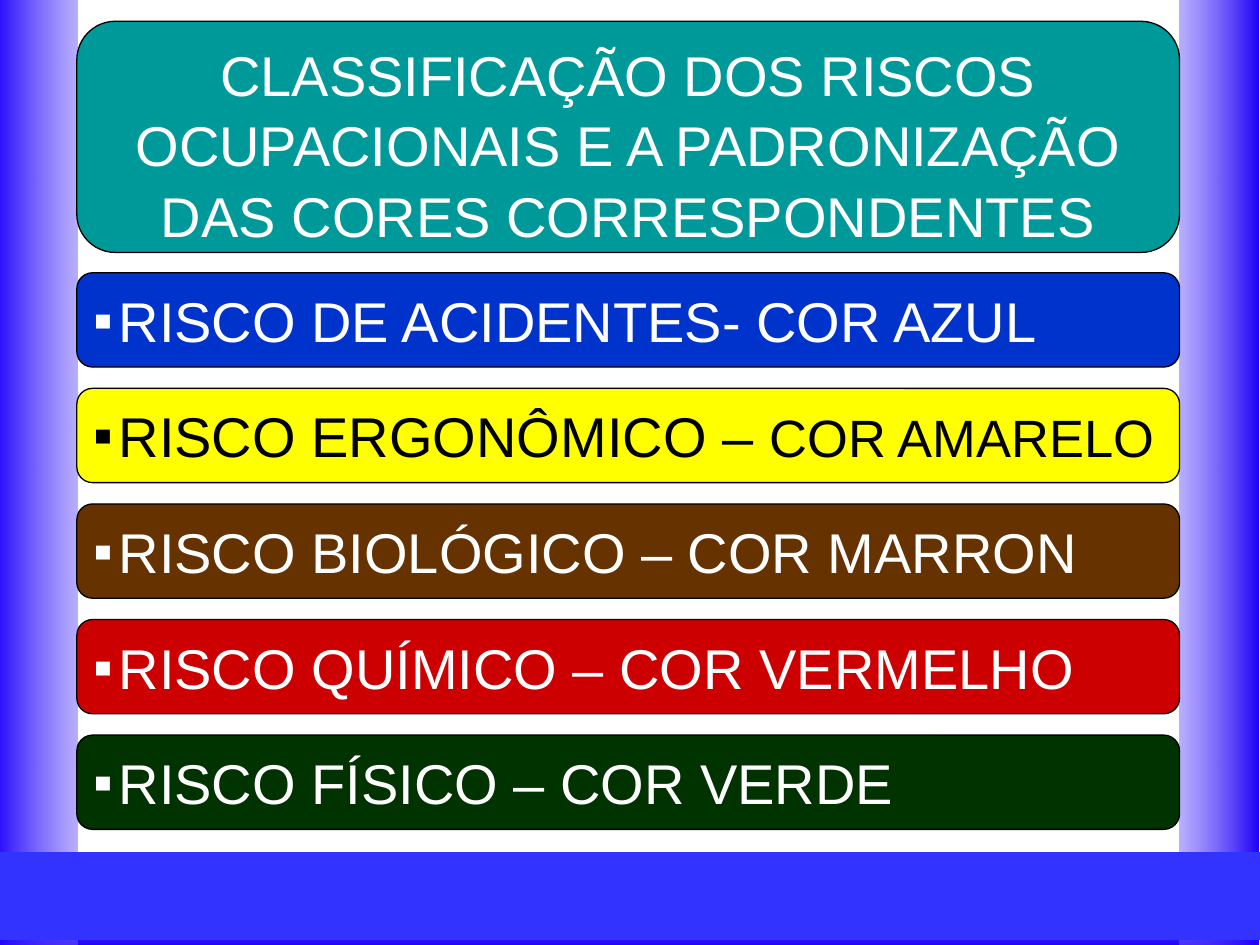
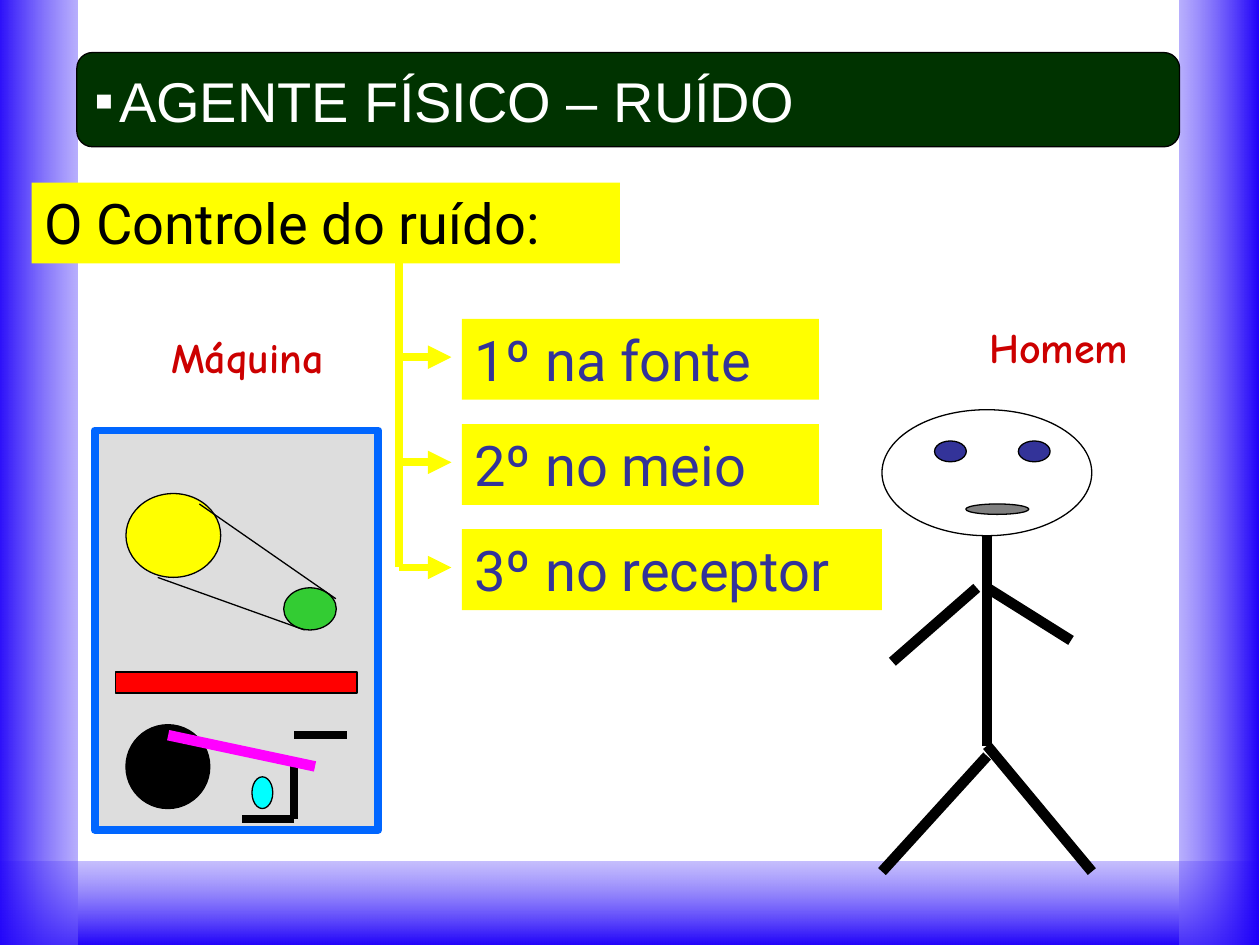
from lxml.etree import SubElement
from pptx import Presentation
from pptx.dml.color import RGBColor
from pptx.enum.shapes import MSO_CONNECTOR, MSO_SHAPE
from pptx.enum.text import MSO_ANCHOR, MSO_AUTO_SIZE, PP_ALIGN
from pptx.oxml.ns import qn
from pptx.util import Cm, Pt

BLACK = RGBColor(0x00, 0x00, 0x00)
WHITE = RGBColor(0xFF, 0xFF, 0xFF)
YELLOW = RGBColor(0xFF, 0xFF, 0x00)
TEAL = RGBColor(0x00, 0x99, 0x99)
BLUE = RGBColor(0x00, 0x33, 0xCC)
BROWN = RGBColor(0x66, 0x33, 0x00)
CRIMSON = RGBColor(0xCC, 0x00, 0x00)
DARK_GREEN = RGBColor(0x00, 0x33, 0x00)
INDIGO = RGBColor(0x33, 0x33, 0x99)
FOOTER_BLUE = RGBColor(0x33, 0x33, 0xFF)
EDGE_BLUE = RGBColor(0x1E, 0x00, 0xFA)
SIDE_LILAC = RGBColor(0x70, 0x5D, 0xFC)
BASE_LILAC = RGBColor(0x8C, 0x7D, 0xFC)
FRAME_BLUE = RGBColor(0x00, 0x66, 0xFF)
LIGHT_GRAY = RGBColor(0xDD, 0xDD, 0xDD)
GRAY = RGBColor(0x80, 0x80, 0x80)
GREEN = RGBColor(0x33, 0xCC, 0x33)
RED = RGBColor(0xFF, 0x00, 0x00)
CYAN = RGBColor(0x00, 0xFF, 0xFF)
MAGENTA = RGBColor(0xFF, 0x00, 0xFF)

RECT, OVAL, ROUNDED = MSO_SHAPE.RECTANGLE, MSO_SHAPE.OVAL, MSO_SHAPE.ROUNDED_RECTANGLE
BAR_LEFT, BAR_WIDTH, BAR_HEIGHT = 1.55, 22.23, 1.9


def add_figure(s, kind, box, fill, line=BLACK, weight=0.75):
    sp = s.shapes.add_shape(kind, *map(Cm, box))
    sp.shadow.inherit = False
    sp.fill.solid()
    sp.fill.fore_color.rgb = fill
    if line is None:
        sp.line.fill.background()
    else:
        sp.line.color.rgb = line
        sp.line.width = Pt(weight)
    return sp


def add_line(s, start, end, color=BLACK, weight=0.75, arrow=False):
    ln = s.shapes.add_connector(MSO_CONNECTOR.STRAIGHT, *map(Cm, start + end))
    ln.line.color.rgb = color
    ln.line.width = Pt(weight)
    if arrow:
        SubElement(ln.line._get_or_add_ln(), qn("a:tailEnd"), type="triangle")
    SubElement(ln._element.spPr, qn("a:effectLst"))


def format_runs(p, font, size, color, bold=False):
    for r in p.runs:
        r.font.name = font
        r.font.size = Pt(size)
        r.font.color.rgb = color
        r.font.bold = bold


def add_bullet(p, color):
    pPr = p._p.get_or_add_pPr()
    pPr.set("marL", str(Cm(0.5)))
    pPr.set("indent", str(-Cm(0.5)))
    SubElement(SubElement(pPr, qn("a:buClr")), qn("a:srgbClr"), val=str(color))
    SubElement(pPr, qn("a:buFont"), typeface="Arial")
    SubElement(pPr, qn("a:buChar"), char="▪")


def add_risk_bar(s, top, text, fill, color, ending=""):
    sp = add_figure(s, ROUNDED, (BAR_LEFT, top, BAR_WIDTH, BAR_HEIGHT), fill)
    tf = sp.text_frame
    tf.word_wrap = True
    tf.vertical_anchor = MSO_ANCHOR.MIDDLE
    p = tf.paragraphs[0]
    p.text = text
    p.alignment = PP_ALIGN.LEFT
    add_bullet(p, color)
    if ending:
        p.add_run().text = ending
    format_runs(p, "Arial", 32, color)
    if ending:
        p.runs[-1].font.size = Pt(30)


def add_title(s, text, top, height, fill, shift=0):
    add_figure(s, ROUNDED, (BAR_LEFT, top, BAR_WIDTH, height), fill)
    title = s.shapes.title
    s.shapes._spTree.append(title._element)
    title.left, title.top = Cm(BAR_LEFT), Cm(top + shift)
    title.width, title.height = Cm(BAR_WIDTH), Cm(height)
    tf = title.text_frame
    tf.text = text
    tf.word_wrap = True
    tf.auto_size = MSO_AUTO_SIZE.NONE
    tf.vertical_anchor = MSO_ANCHOR.MIDDLE
    tf.margin_left = tf.margin_right = Cm(0.35)
    p = tf.paragraphs[0]
    format_runs(p, "Arial", 32, WHITE)
    return p


def add_yellow_box(s, box, text, color):
    tf = add_figure(s, RECT, box, YELLOW, None).text_frame
    tf.text = text
    tf.word_wrap = True
    tf.vertical_anchor = MSO_ANCHOR.TOP
    p = tf.paragraphs[0]
    p.alignment = PP_ALIGN.LEFT
    format_runs(p, "Roboto", 32, color)


def add_caption(s, left, top, text):
    tf = s.shapes.add_textbox(Cm(left), Cm(top), Cm(4.23), Cm(1.27)).text_frame
    tf.text = text
    tf.word_wrap = True
    p = tf.paragraphs[0]
    p.alignment = PP_ALIGN.JUSTIFY
    format_runs(p, "Comic Neue", 24, CRIMSON, True)


def add_backdrop(s, master):
    bands = [
        ((-0.03, 17.37, 25.4, 1.69), BASE_LILAC, 90),
        ((23.77, 0, 1.6, 19.05), SIDE_LILAC, 180),
        ((-0.13, 0, 1.7, 19.05), SIDE_LILAC, 0),
    ]
    for i, (box, lilac, angle) in enumerate(bands):
        sp = add_figure(s, RECT, box, lilac, None)
        sp.fill.gradient()
        sp.fill.gradient_angle = angle
        for stop, color in zip(sp.fill.gradient_stops, (EDGE_BLUE, lilac)):
            stop.color.rgb = color
        inner = list(sp._element.spPr.iter(qn("a:srgbClr")))[-1]
        SubElement(inner, qn("a:alpha"), val="49000")
        master.shapes._spTree.insert(2 + i, sp._element)


def add_machine(s):
    add_figure(s, RECT, (1.91, 8.68, 5.72, 8.05), LIGHT_GRAY, FRAME_BLUE, 4.5)
    add_figure(s, OVAL, (2.54, 9.95, 1.91, 1.69), YELLOW)
    add_figure(s, OVAL, (5.72, 11.85, 1.06, 0.85), GREEN)
    add_line(s, (4.02, 10.16), (6.77, 12.07))
    add_line(s, (3.18, 11.64), (6.14, 12.7))
    add_figure(s, RECT, (2.33, 13.55, 4.87, 0.42), RED)
    add_figure(s, OVAL, (2.54, 14.61, 1.69, 1.69), BLACK)
    for start, end in [
        ((5.93, 14.82), (6.99, 14.82)),
        ((5.93, 15.45), (5.93, 16.51)),
        ((5.93, 16.51), (4.87, 16.51)),
    ]:
        add_line(s, start, end, weight=4.5)
    add_figure(s, OVAL, (5.08, 15.66, 0.42, 0.64), CYAN)
    add_line(s, (3.39, 14.82), (6.35, 15.45), MAGENTA, 6)


def add_man(s):
    add_figure(s, OVAL, (17.78, 8.26, 4.23, 2.54), WHITE)
    for eye_left in (18.84, 20.53):
        add_figure(s, OVAL, (eye_left, 8.89, 0.64, 0.42), INDIGO)
    add_figure(s, OVAL, (19.47, 10.16, 1.27, 0.21), GRAY)
    for start, end in [
        ((19.9, 10.8), (19.9, 15.03)),
        ((19.9, 15.03), (22.01, 17.57)),
        ((19.9, 15.24), (17.78, 17.57)),
        ((19.69, 11.85), (17.99, 13.34)),
        ((19.9, 11.85), (21.59, 12.91)),
    ]:
        add_line(s, start, end, weight=6)


def add_control_steps(s):
    trunk_x, previous_y = 8.04, 5.08
    steps = [("1º na fonte", 7.2), ("2º no meio", 7.2), ("3º no receptor", 8.47)]
    for i, (text, width) in enumerate(steps):
        y = 7.2 + 2.12 * i
        add_line(s, (trunk_x, previous_y), (trunk_x, y), YELLOW, 4.5)
        add_line(s, (trunk_x, y), (9.1, y), YELLOW, 4.5, arrow=True)
        add_yellow_box(s, (9.31, y - 0.77, width, 1.63), text, INDIGO)
        previous_y = y


def build_risk_slide(s):
    p = add_title(
        s,
        "CLASSIFICAÇÃO DOS RISCOS OCUPACIONAIS E A PADRONIZAÇÃO "
        "DAS CORES CORRESPONDENTES",
        0.43, 4.66, TEAL, shift=0.12,
    )
    p.alignment = PP_ALIGN.CENTER
    p.line_spacing = 1.05
    risks = [
        ("RISCO DE ACIDENTES- COR AZUL", BLUE, WHITE),
        ("RISCO ERGONÔMICO – ", YELLOW, BLACK, "COR AMARELO"),
        ("RISCO BIOLÓGICO – COR MARRON", BROWN, WHITE),
        ("RISCO QUÍMICO – COR VERMELHO", CRIMSON, WHITE),
        ("RISCO FÍSICO – COR VERDE", DARK_GREEN, WHITE),
    ]
    for i, risk in enumerate(risks):
        add_risk_bar(s, 5.5 + 2.33 * i, *risk)
    add_line(s, (0, 18.06), (25.4, 18.06), FOOTER_BLUE, 50)


def build_noise_slide(s):
    add_caption(s, 3.2, 6.56, "Máquina")
    add_yellow_box(s, (0.64, 3.68, 11.86, 1.63), "O Controle do ruído:", BLACK)
    add_machine(s)
    add_man(s)
    add_caption(s, 19.69, 6.35, "Homem")
    add_control_steps(s)
    p = add_title(s, "AGENTE FÍSICO – RUÍDO", 1.06, BAR_HEIGHT, DARK_GREEN)
    p.alignment = PP_ALIGN.LEFT
    add_bullet(p, WHITE)


def main():
    prs = Presentation()
    prs.slide_width, prs.slide_height = Cm(25.4), Cm(19.05)
    title_only = prs.slide_layouts[5]
    risk_slide = prs.slides.add_slide(title_only)
    add_backdrop(risk_slide, prs.slide_master)
    build_risk_slide(risk_slide)
    build_noise_slide(prs.slides.add_slide(title_only))
    prs.save("out.pptx")


if __name__ == "__main__":
    main()
